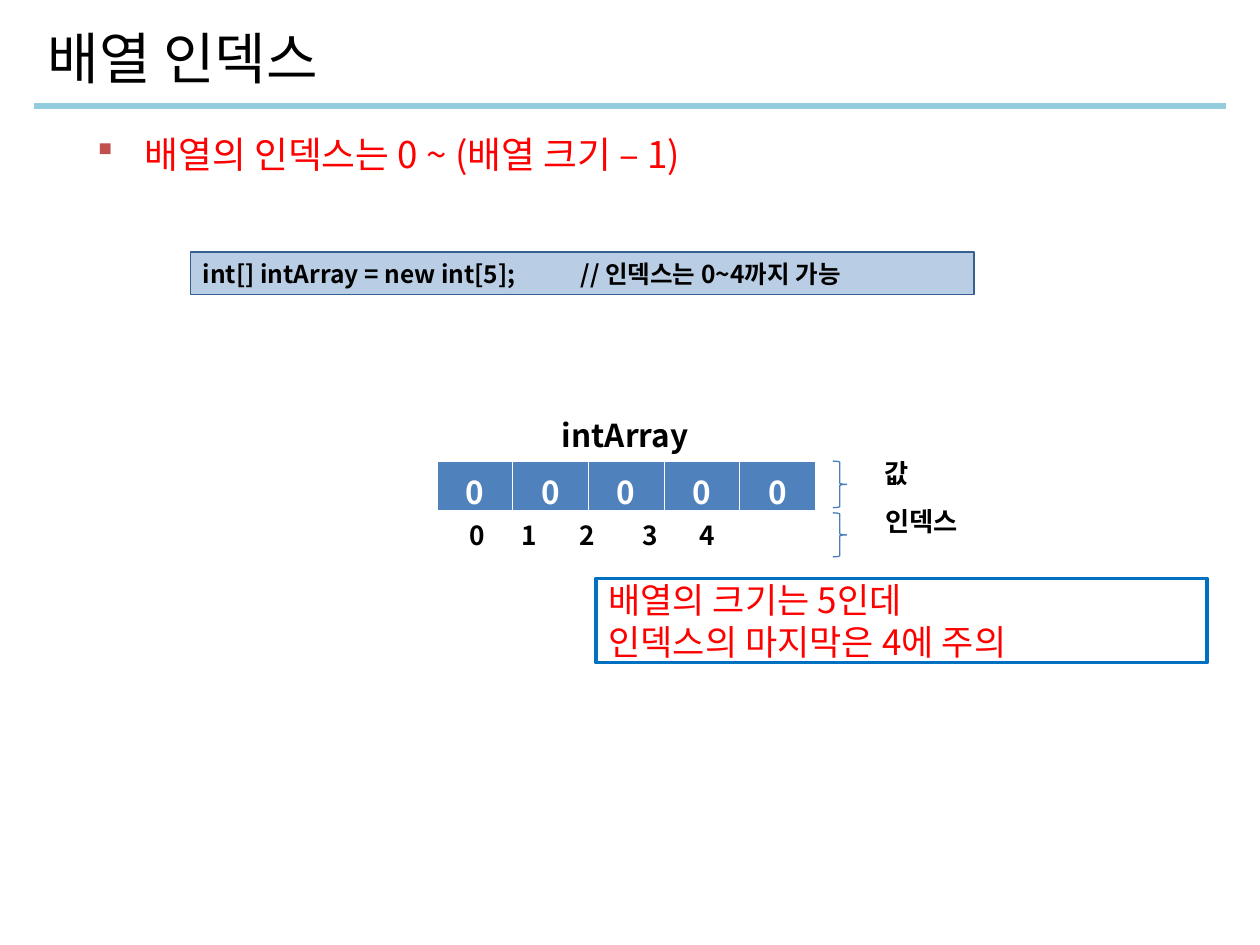
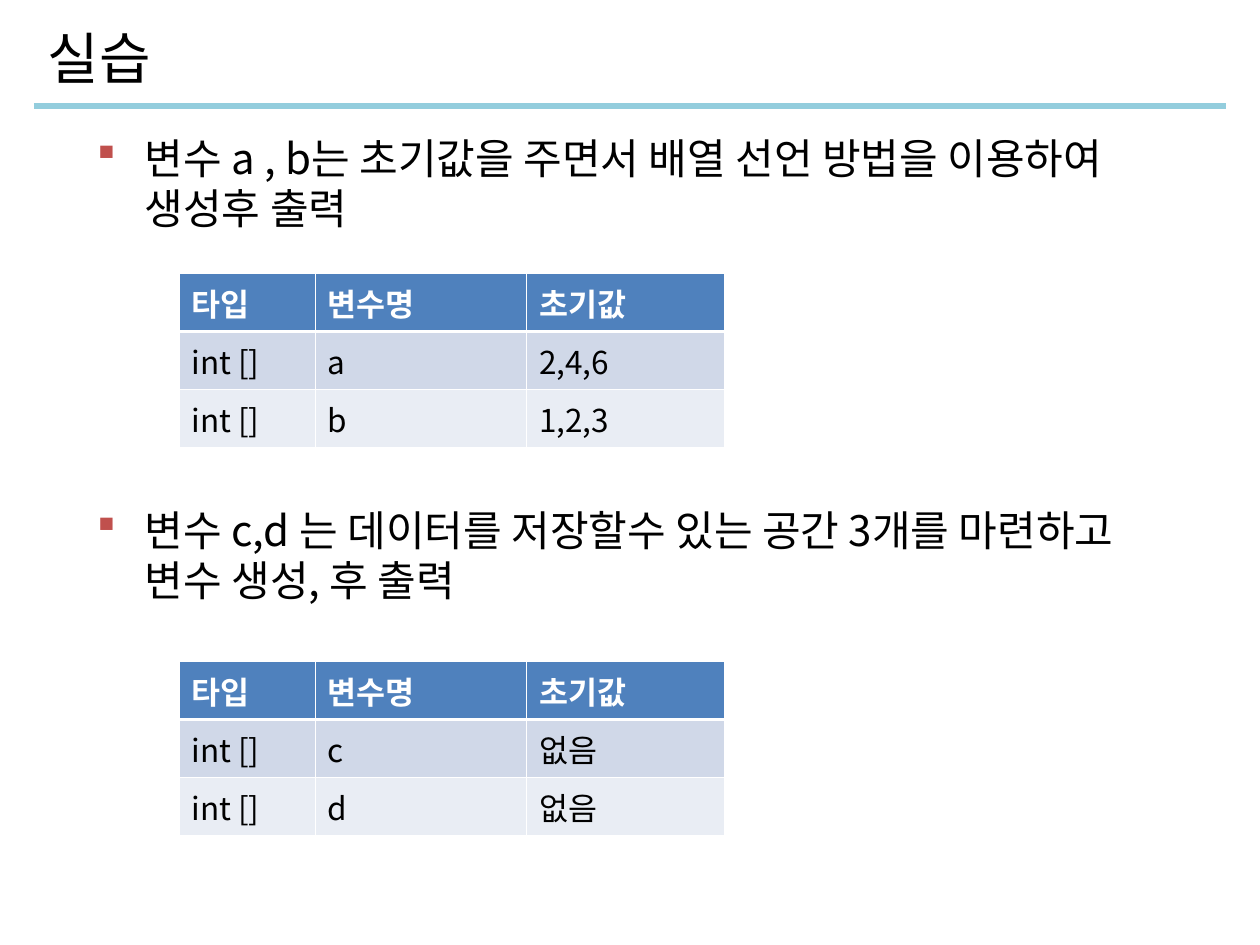
import dataclasses

import lxml.etree
import pptx
import pptx.dml.color
import pptx.enum.shapes
import pptx.enum.text
import pptx.oxml.ns
import pptx.util

Inches = pptx.util.Inches
Pt = pptx.util.Pt
qn = pptx.oxml.ns.qn
SHAPE = pptx.enum.shapes.MSO_SHAPE
ANCHOR = pptx.enum.text.MSO_ANCHOR
ALIGN = pptx.enum.text.PP_ALIGN


@dataclasses.dataclass(frozen=True)
class Theme:
    font: str = "Noto Sans CJK KR"
    black: str = "000000"
    white: str = "FFFFFF"
    red: str = "FF0000"
    rule: str = "93CDDD"
    bullet: str = "C0504D"
    code_fill: str = "B9CDE5"
    code_line: str = "376092"
    header: str = "4F81BD"
    bands: tuple = ("D0D8E8", "E9EDF4")
    brace: str = "4A7EBB"
    note_line: str = "0070C0"
    title_size: int = 32
    body_size: int = 24
    lead_size: int = 21
    note_size: int = 20
    cell_size: int = 18
    label_size: int = 15
    code_size: int = 14
    thin: float = 0.45
    thick: float = 1.47


T = Theme()


def rgb(value):
    return pptx.dml.color.RGBColor.from_string(value)


def add_xml(parent, tag, **attrs):
    return lxml.etree.SubElement(parent, qn(tag), attrs)


def write(tf, text, size, color=T.black, bold=False, align=ALIGN.LEFT, anchor=ANCHOR.MIDDLE,
          wrap=True, gap=0, after=0, bullet=False, tabs=()):
    """Fill a text frame; each line becomes a paragraph, gap is the space between them."""
    tf.word_wrap = wrap
    tf.vertical_anchor = anchor
    for i, line in enumerate(text.split("\n")):
        p = tf.add_paragraph() if i else tf.paragraphs[0]
        pPr = p._p.get_or_add_pPr()
        if bullet:
            pPr.set("marL", str(Inches(0.38)))
            pPr.set("indent", str(-Inches(0.38)))
            add_xml(add_xml(pPr, "a:buClr"), "a:srgbClr", val=T.bullet)
            add_xml(pPr, "a:buFont", typeface="Wingdings", charset="2")
            add_xml(pPr, "a:buChar", char="§")
        if tabs:
            tab_list = add_xml(pPr, "a:tabLst")
            for pos in tabs:
                add_xml(tab_list, "a:tab", pos=str(Inches(pos)), algn="l")
        p.alignment = align
        p.space_after = Pt(after)
        if i:
            p.space_before = Pt(gap)
        r = p.add_run()
        r.text = line
        r.font.size = Pt(size)
        r.font.bold = bold
        r.font.color.rgb = rgb(color)
        r.font.name = T.font
        add_xml(r._r.get_or_add_rPr(), "a:ea", typeface=T.font)


def add_text(slide, box, text, size, **fmt):
    sp = slide.shapes.add_textbox(*map(Inches, box))
    write(sp.text_frame, text, size, **fmt)
    return sp


def add_box(slide, kind, box, line, width, fill=None):
    sp = slide.shapes.add_shape(kind, *map(Inches, box))
    sp.shadow.inherit = False
    if fill:
        sp.fill.solid()
        sp.fill.fore_color.rgb = rgb(fill)
    else:
        sp.fill.background()
    sp.line.color.rgb = rgb(line)
    sp.line.width = Pt(width)
    return sp


def style_cell(cell, fill, top, bottom):
    """Fill a cell and draw its white borders, thick or thin above and below."""
    tcPr = cell._tc.get_or_add_tcPr()
    widths = {"a:lnL": T.thin, "a:lnR": T.thin, "a:lnT": top, "a:lnB": bottom}
    for tag, width in widths.items():
        ln = add_xml(tcPr, tag, w=str(Pt(width)))
        add_xml(add_xml(ln, "a:solidFill"), "a:srgbClr", val=T.white)
    cell.fill.solid()
    cell.fill.fore_color.rgb = rgb(fill)


def add_grid(slide, left, top, col_widths, row_height, rows, margins=(0.05, 0.05),
             align=ALIGN.LEFT):
    """Add a table whose first row is a header and whose other rows are banded."""
    frame = slide.shapes.add_table(len(rows), len(col_widths), Inches(left), Inches(top),
                                   Inches(sum(col_widths)), Inches(row_height * len(rows)))
    table = frame.table
    for col, width in zip(table.columns, col_widths):
        col.width = Inches(width)
    for i, values in enumerate(rows):
        table.rows[i].height = Inches(row_height)
        for j, value in enumerate(values):
            cell = table.cell(i, j)
            style_cell(cell, T.bands[(i - 1) % 2] if i else T.header,
                       T.thick if i == 1 else T.thin, T.thin if i else T.thick)
            cell.margin_top, cell.margin_bottom = map(Inches, margins)
            write(cell.text_frame, value, T.cell_size, color=T.black if i else T.white,
                  bold=not i, align=align, anchor=ANCHOR.TOP)


def new_slide(prs, title):
    slide = prs.slides.add_slide(prs.slide_layouts[6])
    rule = slide.shapes.add_connector(pptx.enum.shapes.MSO_CONNECTOR.STRAIGHT,
                                      Inches(0.27), Inches(0.84), Inches(9.73), Inches(0.84))
    rule.line.color.rgb = rgb(T.rule)
    rule.line.width = Pt(3.5)
    add_xml(rule._element.spPr, "a:effectLst")
    add_text(slide, (0.28, 0.08, 8.92, 0.74), title, T.title_size)
    return slide


def add_body(slide, text, size, color=T.black, gap=0):
    add_text(slide, (0.67, 1, 8.92, 5.98), text, size, color=color, bullet=True,
             anchor=ANCHOR.TOP, gap=gap, after=2)


def add_array_diagram(slide, x, y):
    """Draw the array with its name above, indexes below and braces at the right."""
    name = add_text(slide, (x + 0.39, y - 0.41, 1.74, 0.4), "intArray", T.cell_size,
                    bold=True, wrap=False)
    name.text_frame.margin_left = Inches(0.6)
    add_grid(slide, x, y, [0.6] * 5, 0.4, [["0"] * 5], margins=(0.05, 0), align=ALIGN.CENTER)
    add_text(slide, (x + 0.16, y + 0.41, 2.98, 0.35), "0\t1\t2\t3\t4", T.label_size,
             bold=True, tabs=(0.41, 0.87, 1.37, 1.82))
    for label, dy, height, label_dx, label_dy, width in (
            ("값", 0, 0.37, 3.45, -0.08, 0.42),
            ("인덱스", 0.41, 0.35, 3.46, 0.3, 0.9)):
        add_box(slide, SHAPE.RIGHT_BRACE, (x + 3.14, y + dy, 0.11, height), T.brace, 0.75)
        add_text(slide, (x + label_dx, y + label_dy, width, 0.35), label, T.label_size,
                 bold=True)


def build_index_slide(prs):
    slide = new_slide(prs, "배열 인덱스")
    add_body(slide, "배열의 인덱스는 0 ~ (배열 크기 – 1)", T.lead_size, color=T.red)
    code = add_box(slide, SHAPE.RECTANGLE, (1.51, 2, 6.22, 0.34), T.code_line, 0.75, T.code_fill)
    write(code.text_frame, "int[] intArray = new int[5];\t// 인덱스는 0~4까지 가능",
          T.code_size, bold=True, tabs=(3,))
    add_array_diagram(slide, 3.47, 3.66)
    note = add_box(slide, SHAPE.RECTANGLE, (4.73, 4.59, 4.85, 0.67), T.note_line, 2)
    write(note.text_frame, "배열의 크기는 5인데\n인덱스의 마지막은 4에 주의", T.note_size,
          color=T.red)


def build_practice_slide(prs):
    slide = new_slide(prs, "실습")
    add_body(slide, "변수 a , b는 초기값을 주면서 배열 선언 방법을 이용하여 생성후 출력\n"
                    "변수 c,d 는 데이터를 저장할수 있는 공간 3개를 마련하고 변수 생성, 후 출력",
             T.body_size, gap=153)
    header = ("타입", "변수명", "초기값")
    for top, variables in ((2.17, {"a": "2,4,6", "b": "1,2,3"}),
                           (5.25, {"c": "없음", "d": "없음"})):
        rows = [header] + [("int []", name, value) for name, value in variables.items()]
        add_grid(slide, 1.42, top, (1.08, 1.68, 1.57), 0.46, rows)


def main():
    prs = pptx.Presentation()
    prs.slide_width = Inches(10)
    prs.slide_height = Inches(7.5)
    build_index_slide(prs)
    build_practice_slide(prs)
    prs.save("out.pptx")


if __name__ == "__main__":
    main()
